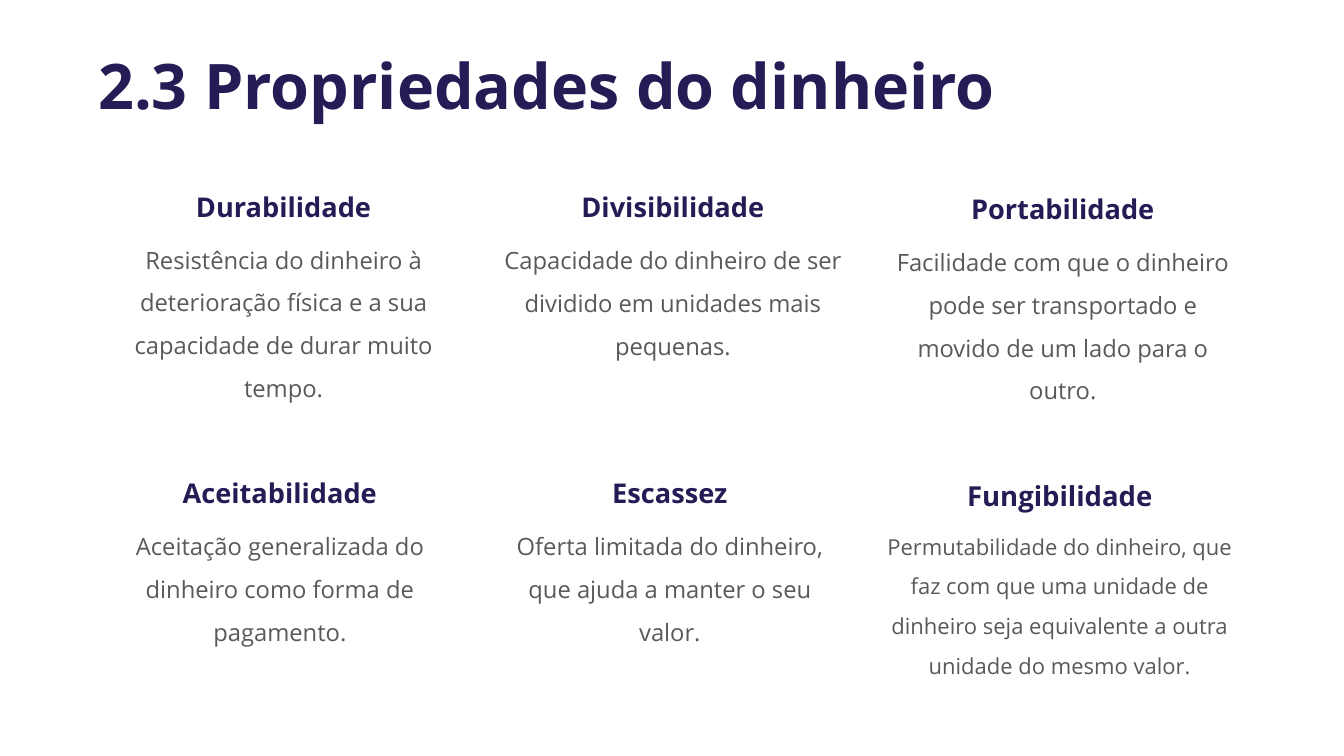
from pptx import Presentation, util as u
from pptx.dml.color import RGBColor
from pptx.enum import shapes, text

theme = dict(font="Open Sans", navy="251B55", gray="58595B", white="FFFFFF",
             title=74, head=32, body=28, big=32.4, small=25.9)


def write(para, words, size, color, bold, **form):
    para.text = words
    for key, val in form.items():
        setattr(para, key, val)
    font = para.runs[0].font
    look = dict(name=theme["font"], size=u.Pt(size), bold=bold)
    for key, val in look.items():
        setattr(font, key, val)
    font.color.rgb = RGBColor.from_string(theme[color])


deck = Presentation()
deck.slide_width, deck.slide_height = u.Inches(21.99), u.Inches(12.37)
slide = deck.slides.add_slide(deck.slide_layouts[6])
slide.background.fill.solid()
slide.background.fill.fore_color.rgb = RGBColor.from_string(theme["white"])

title = slide.shapes.add_textbox(*map(u.Inches, (1.51, 0.66, 18.96, 1.61))).text_frame
title.word_wrap = True
title.vertical_anchor = text.MSO_ANCHOR.MIDDLE
write(title.paragraphs[0], "2.3 Propriedades do dinheiro", theme["title"], "navy", True,
      line_spacing=0.9)

cards = [
    (1.57, 2.5, "Durabilidade",
     "Resistência do dinheiro à deterioração física e a sua capacidade de durar muito tempo."),
    (7.94, 2.51, "Divisibilidade",
     "Capacidade do dinheiro de ser dividido em unidades mais pequenas."),
    (14.32, 2.54, "Portabilidade",
     "Facilidade com que o dinheiro pode ser transportado e movido de um lado para o outro."),
    (1.51, 7.19, "Aceitabilidade",
     "Aceitação generalizada do dinheiro como forma de pagamento."),
    (7.89, 7.19, "Escassez",
     "Oferta limitada do dinheiro, que ajuda a manter o seu valor."),
    (14.27, 7.22, "Fungibilidade",
     "Permutabilidade do dinheiro, que faz com que uma unidade de dinheiro seja "
     "equivalente a outra unidade do mesmo valor."),
]
inset = dict(margin_left=0.16, margin_top=0.28, margin_right=0.12, margin_bottom=0.28)
flow = dict(alignment=text.PP_ALIGN.CENTER, line_spacing=1.5)

for left, top, head, body in cards:
    card = slide.shapes.add_shape(shapes.MSO_SHAPE.ROUNDED_RECTANGLE,
                                  *map(u.Inches, (left, top, 6.1, 4.37)))
    card.adjustments[0] = 0.048
    card.shadow.inherit = False
    card.fill.solid()
    card.fill.fore_color.rgb = RGBColor.from_string(theme["white"])
    card.line.fill.background()
    frame = card.text_frame
    frame.word_wrap = True
    frame.vertical_anchor = text.MSO_ANCHOR.TOP
    for key, val in inset.items():
        setattr(frame, key, u.Inches(val))
    sizes = ("big", "small") if head == "Fungibilidade" else ("head", "body")
    write(frame.paragraphs[0], head, theme[sizes[0]], "navy", True, **flow)
    write(frame.add_paragraph(), body, theme[sizes[1]], "gray", False,
          space_before=u.Pt(10), **flow)

deck.save("out.pptx")
